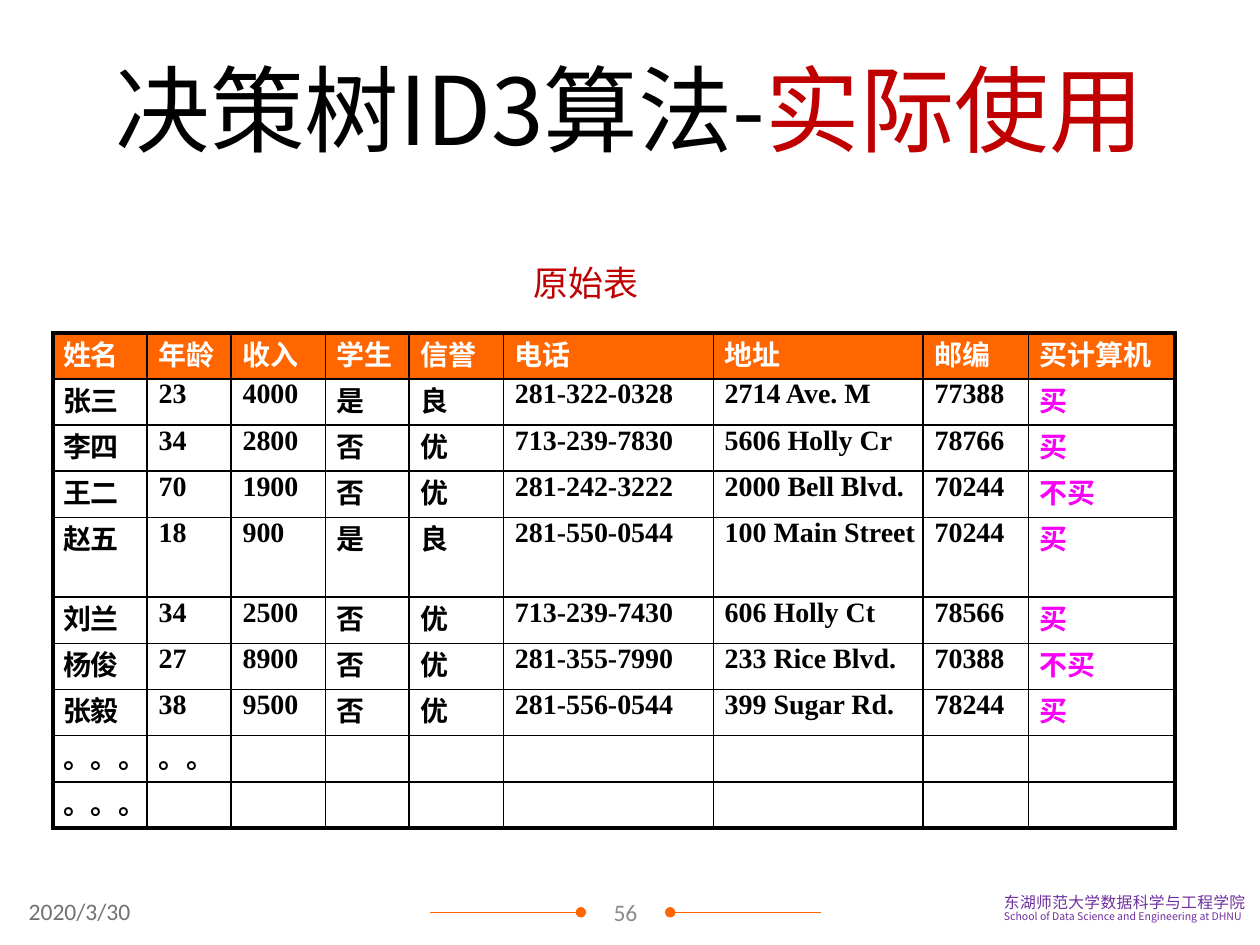
from dataclasses import dataclass

from lxml import etree
from pptx import Presentation
from pptx.dml.color import RGBColor
from pptx.enum import shapes, text
from pptx.oxml.ns import qn
from pptx.util import Cm, Pt


@dataclass(frozen=True)
class Theme:
    accent: str = "FF6600"
    red: str = "C00000"
    black: str = "000000"
    white: str = "FFFFFF"
    magenta: str = "F800F8"
    purple: str = "7030A0"
    date_gray: str = "767171"
    number_gray: str = "8C8C8C"
    cjk: str = "Noto Sans CJK SC"
    serif: str = "Times New Roman"
    sans: str = "Calibri"
    title: float = 54
    caption: float = 20
    cell: float = 16
    footer: float = 13.5
    school: float = 9
    school_en: float = 6
    tight: float = 0.84
    thin: float = 1.1
    thick: float = 2.35


T = Theme()

HEADERS = ["姓名", "年龄", "收入", "学生", "信誉", "电话", "地址", "邮编", "买计算机"]
CUSTOMERS = [
    ["张三", "23", "4000", "是", "良", "281-322-0328", "2714 Ave. M", "77388", "买"],
    ["李四", "34", "2800", "否", "优", "713-239-7830", "5606 Holly Cr", "78766", "买"],
    ["王二", "70", "1900", "否", "优", "281-242-3222", "2000 Bell Blvd.", "70244", "不买"],
    ["赵五", "18", "900", "是", "良", "281-550-0544", "100 Main Street", "70244", "买"],
    ["刘兰", "34", "2500", "否", "优", "713-239-7430", "606 Holly Ct", "78566", "买"],
    ["杨俊", "27", "8900", "否", "优", "281-355-7990", "233 Rice Blvd.", "70388", "不买"],
    ["张毅", "38", "9500", "否", "优", "281-556-0544", "399 Sugar Rd.", "78244", "买"],
    ["。。。", "。。"] + [""] * 7,
    ["。。。"] + [""] * 8,
]
COL_WIDTHS = [1.9, 1.69, 1.9, 1.69, 1.9, 4.23, 4.23, 2.12, 2.96]
ROW_HEIGHT, TALL_ROW_HEIGHT, TALL_ROW = 0.93, 1.61, 4


def add_run(p, content, size, color, font, bold=False, spacing=0):
    r = p.add_run()
    r.text = content
    r.font.size = Pt(size)
    r.font.bold = bold
    r.font.name = font
    r.font.color.rgb = RGBColor.from_string(color)
    rPr = r.font._element
    etree.SubElement(rPr, qn("a:ea")).set("typeface", font)
    if spacing:
        rPr.set("spc", str(round(spacing * 100)))


def indent(p, left):
    p._p.get_or_add_pPr().set("marL", str(Cm(left)))


def add_text_box(s, box, margins=(0, 0, 0, 0), anchor=text.MSO_ANCHOR.TOP, wrap=True):
    tf = s.shapes.add_textbox(*map(Cm, box)).text_frame
    tf.word_wrap = wrap
    tf.auto_size = text.MSO_AUTO_SIZE.NONE
    tf.vertical_anchor = anchor
    tf.margin_left, tf.margin_top, tf.margin_right, tf.margin_bottom = map(Cm, margins)
    return tf


def title(s, box):
    tf = add_text_box(s, box, (0, 0.3, 0, 0), text.MSO_ANCHOR.MIDDLE)
    p = tf.paragraphs[0]
    p.line_spacing = T.tight
    indent(p, 0.58)
    add_run(p, "决策树", T.title, T.black, T.cjk)
    add_run(p, "ID3", T.title, T.black, T.cjk, spacing=-0.1)
    add_run(p, "算法-", T.title, T.black, T.cjk)
    add_run(p, "实际使用", T.title, T.red, T.cjk)


def caption(s, box):
    p = add_text_box(s, box).paragraphs[0]
    p.line_spacing = Pt(22.8)
    indent(p, 0.03)
    add_run(p, "原始表", T.caption, T.red, T.cjk)


def set_borders(cell, widths):
    """Draw the left, right, top and bottom borders, in that order."""
    tcPr = cell._tc.get_or_add_tcPr()
    for i, (side, width) in enumerate(zip("LRTB", widths)):
        ln = etree.Element(qn(f"a:ln{side}"), w=str(Pt(width)))
        fill = etree.SubElement(ln, qn("a:solidFill"))
        etree.SubElement(fill, qn("a:srgbClr"), val=T.black)
        tcPr.insert(i, ln)


def customer_table(s, left, top):
    rows = [HEADERS] + CUSTOMERS
    heights = [TALL_ROW_HEIGHT if i == TALL_ROW else ROW_HEIGHT for i in range(len(rows))]
    last_row, last_col = len(rows) - 1, len(HEADERS) - 1
    table = s.shapes.add_table(len(rows), len(HEADERS), Cm(left), Cm(top),
                               Cm(sum(COL_WIDTHS)), Cm(sum(heights))).table
    table.first_row = table.horz_banding = False
    for column, width in zip(table.columns, COL_WIDTHS):
        column.width = Cm(width)
    for row, height in zip(table.rows, heights):
        row.height = Cm(height)

    for i, values in enumerate(rows):
        for j, value in enumerate(values):
            cell = table.cell(i, j)
            cell.margin_left = cell.margin_right = cell.margin_top = cell.margin_bottom = 0
            if i == 0:
                cell.fill.solid()
                cell.fill.fore_color.rgb = RGBColor.from_string(T.accent)
                color = T.white
            else:
                cell.fill.background()
                color = T.magenta if j == last_col else T.black
            outer = (j == 0, j == last_col, i == 0, i == last_row)
            set_borders(cell, [T.thick if edge else T.thin for edge in outer])
            if value:
                p = cell.text_frame.paragraphs[0]
                indent(p, 0.2 if j == 0 else 0.23)
                font = T.serif if value.isascii() else T.cjk
                add_run(p, value, T.cell, color, font, bold=True)


def footer_rule(s, x1, x2, y, dot_end):
    line = s.shapes.add_connector(shapes.MSO_CONNECTOR.STRAIGHT, Cm(x1), Cm(y), Cm(x2), Cm(y))
    line.line.color.rgb = RGBColor.from_string(T.accent)
    line.line.width = Pt(0.5)
    etree.SubElement(line.line._get_or_add_ln(), qn(f"a:{dot_end}"), type="oval")
    etree.SubElement(line._element.spPr, qn("a:effectLst"))


def footer(s, left, top):
    # Page number between two dotted rules
    num_left, num_width, rule = left + 11.38, 1.8, 3.05
    num_right, rule_y = num_left + num_width, top + 0.46
    tf = add_text_box(s, (num_left, top + 0.08, num_width, 0.74), (0.18, 0.1, 0.18, 0.1),
                      text.MSO_ANCHOR.MIDDLE)
    tf.paragraphs[0].alignment = text.PP_ALIGN.CENTER
    add_run(tf.paragraphs[0], "56", T.footer, T.number_gray, T.sans)
    footer_rule(s, num_left - rule, num_left, rule_y, "tailEnd")
    footer_rule(s, num_right, num_right + rule, rule_y, "headEnd")

    # Date
    margins = (0.25, 0.13, 0.25, 0.13)
    tf = add_text_box(s, (left, top + 0.03, 3.05, 0.84), margins)
    add_run(tf.paragraphs[0], "2020/3/30", T.footer, T.date_gray, T.sans)

    # School name
    tf = add_text_box(s, (left + 19.66, top, 5.54, 0.89), margins, wrap=False)
    names = [("东湖师范大学数据科学与工程学院", T.school, 0.2),
             ("School of Data Science and Engineering at DHNU", T.school_en, 0)]
    for i, (name, size, spacing) in enumerate(names):
        p = tf.add_paragraph() if i else tf.paragraphs[0]
        p.alignment = text.PP_ALIGN.JUSTIFY
        p.line_spacing = T.tight
        add_run(p, name, size, T.purple, T.cjk, spacing=spacing)


def main():
    prs = Presentation()
    prs.slide_width, prs.slide_height = Cm(25.4), Cm(19.05)
    s = prs.slides.add_slide(prs.slide_layouts[6])
    footer(s, 0.33, 17.93)
    caption(s, (10.72, 5.31, 2.18, 0.71))
    title(s, (1.75, 0.71, 21.9, 3))
    customer_table(s, 1.07, 6.71)
    prs.save("out.pptx")


if __name__ == "__main__":
    main()
